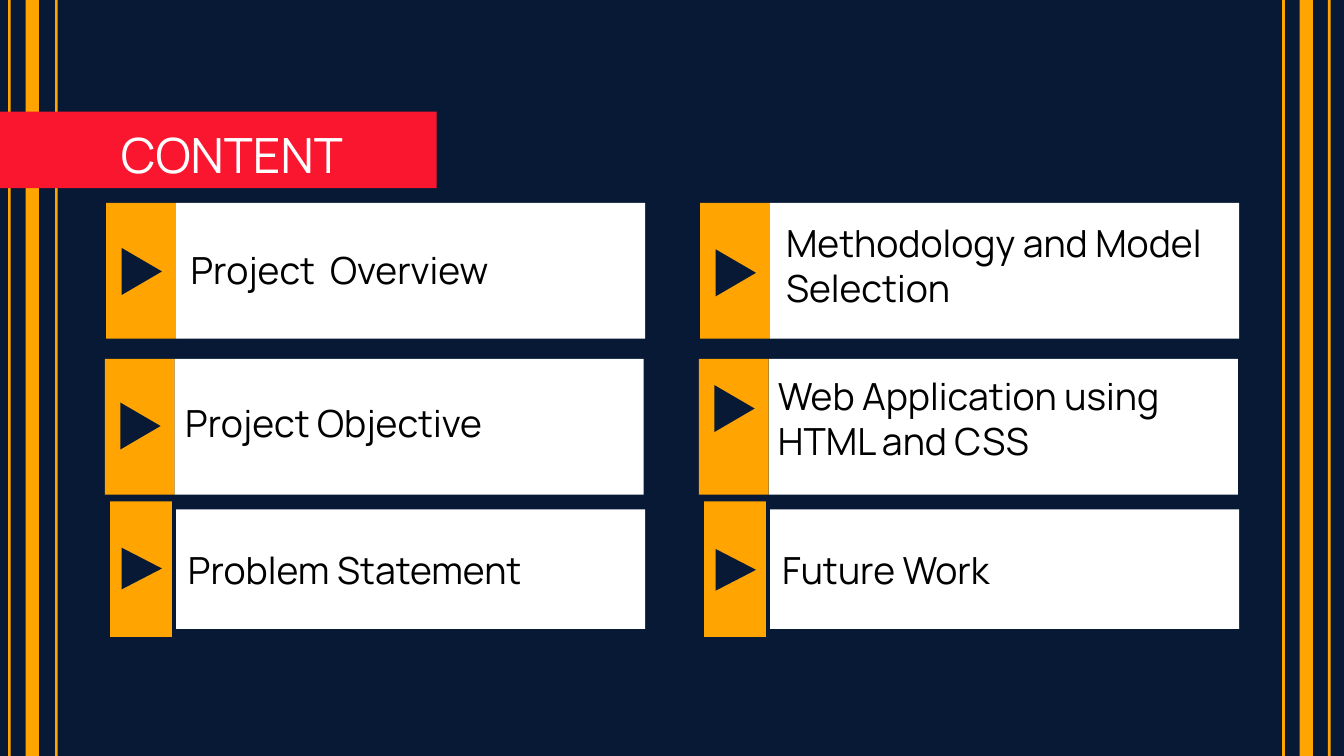
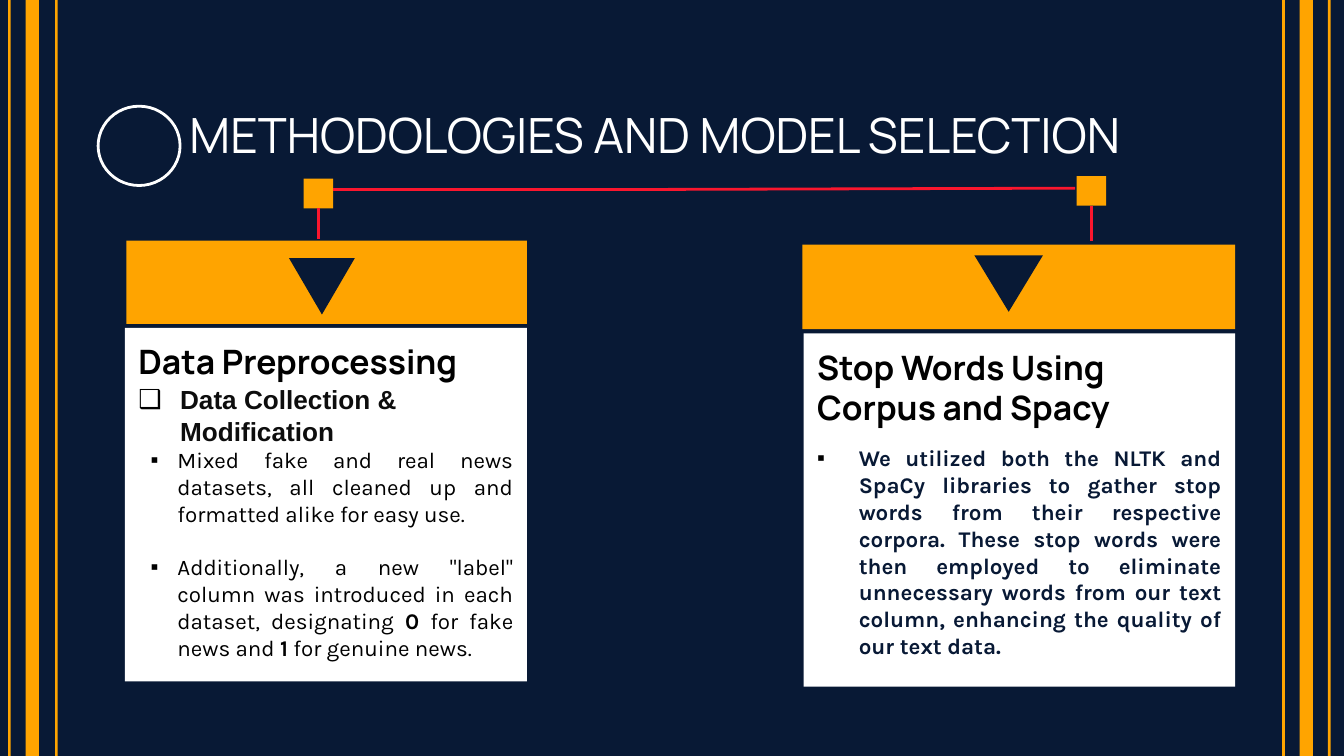
from dataclasses import dataclass

from lxml.etree import SubElement
from pptx import Presentation
from pptx.dml.color import RGBColor
from pptx.enum.shapes import MSO_CONNECTOR, MSO_SHAPE
from pptx.enum.text import MSO_ANCHOR, MSO_AUTO_SIZE, PP_ALIGN
from pptx.oxml.ns import qn
from pptx.util import Emu, Pt

PX = 9144
WIDTH = 1000
SLIDE_WIDTH = Emu(WIDTH * PX)
SLIDE_HEIGHT = Emu(SLIDE_WIDTH * 9 // 16)
COLORS = {
    "navy": "081935",
    "orange": "FFA400",
    "red": "FA162E",
    "white": "FFFFFF",
    "black": "000000",
    "ink": "0D0D0D",
}
TITLE_FONT, LABEL_FONT, BODY_FONT = "Manrope", "Arial", "Karla"
TITLE_ONLY, TWO_CONTENT = 5, 3
THICK_BANDS, THIN_BANDS = (19, 967), (6, 41, 954, 988)
COLUMN_STEP = 442


@dataclass(frozen=True)
class Box:
    left: int
    top: int
    width: int
    height: int


@dataclass(frozen=True)
class Entry:
    text: str
    box: Box
    arrow_top: int


@dataclass(frozen=True)
class AgendaRow:
    card: Box
    bar: Box
    arrow_left: int
    arrow_width: int
    entries: tuple[Entry, Entry]


@dataclass(frozen=True)
class Line:
    text: str
    size: int
    font: str
    bold: bool = False
    color: str = "black"
    bullet: str = ""
    margin: int = 0
    hanging: int = 0
    space_before: int = 0
    justified: bool = False


@dataclass(frozen=True)
class Panel:
    square: Box
    stem_end: tuple[int, int]
    header: Box
    arrow: Box
    body: Box
    lines: tuple[Line, ...]


AGENDA = (
    AgendaRow(Box(131, 151, 349, 101), Box(79, 151, 52, 101), 88, 35, (
        Entry("Project  Overview", Box(132, 179, 325, 44), 187),
        Entry("Methodology and Model Selection", Box(575, 159, 358, 77), 188),
    )),
    AgendaRow(Box(130, 267, 349, 101), Box(78, 267, 52, 101), 87, 35, (
        Entry("Project Objective", Box(128, 293, 358, 44), 302),
        Entry("Web Application using HTML and CSS", Box(569, 273, 358, 77), 289),
    )),
    AgendaRow(Box(131, 379, 349, 89), Box(82, 373, 46, 101), 90, 31, (
        Entry("Problem Statement", Box(130, 402, 358, 44), 408),
        Entry("Future Work", Box(572, 402, 358, 44), 409),
    )),
)

PANELS = (
    Panel(
        Box(226, 133, 22, 22), (237, 178), Box(94, 179, 298, 62),
        Box(215, 192, 49, 42), Box(93, 244, 299, 263),
        (
            Line("Data Preprocessing", 18, TITLE_FONT, bold=True),
            Line("Data Collection & Modification", 14, LABEL_FONT, bold=True, color="ink",
                 bullet="❑", margin=31, hanging=31, space_before=1),
            Line("Mixed fake and real news datasets, all cleaned up and formatted alike "
                 "for easy use.", 12, BODY_FONT, bullet="▪", margin=29, hanging=20,
                 justified=True),
            Line("Additionally, a new \"label\" column was introduced in each dataset, "
                 "designating |0| for fake news and |1| for genuine news.", 12, BODY_FONT,
                 bullet="▪", margin=29, hanging=20, space_before=14, justified=True),
        ),
    ),
    Panel(
        Box(801, 131, 22, 22), (812, 179), Box(597, 182, 322, 63),
        Box(725, 190, 51, 42), Box(598, 248, 321, 263),
        (
            Line("Stop Words Using Corpus and Spacy", 18, TITLE_FONT, bold=True),
            Line("We utilized both the NLTK and SpaCy libraries to gather stop words from "
                 "their respective corpora. These stop words were then employed to "
                 "eliminate unnecessary words from our text column, enhancing the quality "
                 "of our text data.", 12, BODY_FONT, bold=True, color="navy", bullet="▪",
                 margin=31, hanging=31, space_before=9, justified=True),
        ),
    ),
)


def px(value: int) -> Emu:
    return Emu(value * PX)


def rgb(name: str) -> RGBColor:
    return RGBColor.from_string(COLORS[name])


def paint(shape, color: str) -> None:
    shape.fill.solid()
    shape.fill.fore_color.rgb = rgb(color)


def place(shape, box: Box) -> None:
    shape.left, shape.top = px(box.left), px(box.top)
    shape.width, shape.height = px(box.width), px(box.height)


def style_run(run, font: str, size: int, color: str, bold: bool = False) -> None:
    run.font.name = font
    run.font.size = Pt(size)
    run.font.bold = bold
    run.font.color.rgb = rgb(color)


def add_block(slide, box: Box, color: str, kind=MSO_SHAPE.RECTANGLE, rotation: int = 0):
    shape = slide.shapes.add_shape(
        kind, px(box.left), px(box.top), px(box.width), px(box.height))
    shape.shadow.inherit = False
    shape.line.fill.background()
    shape.rotation = rotation
    paint(shape, color)
    return shape


def add_line(slide, start: tuple[int, int], end: tuple[int, int]):
    connector = slide.shapes.add_connector(
        MSO_CONNECTOR.STRAIGHT, px(start[0]), px(start[1]), px(end[0]), px(end[1]))
    connector.line.color.rgb = rgb("red")
    connector.line.width = Pt(1.5)
    SubElement(connector.element.spPr, qn("a:effectLst"))
    return connector


def prepare_frame(shape) -> None:
    frame = shape.text_frame
    frame.word_wrap = True
    frame.auto_size = MSO_AUTO_SIZE.NONE
    frame.vertical_anchor = MSO_ANCHOR.TOP
    frame.margin_left = frame.margin_right = px(10)
    frame.margin_top = frame.margin_bottom = px(10)


def set_indent(paragraph, margin: int, hanging: int, bullet: str = "") -> None:
    properties = paragraph._p.get_or_add_pPr()
    properties.set("marL", str(px(margin)))
    properties.set("indent", str(px(-hanging)))
    if bullet:
        bullet_color = SubElement(properties, qn("a:buClr"))
        SubElement(bullet_color, qn("a:srgbClr"), val=COLORS["black"])
        SubElement(properties, qn("a:buChar"), char=bullet)
    else:
        SubElement(properties, qn("a:buNone"))


def add_slide(presentation, layout: int, title_text: str, title_box: Box):
    slide = presentation.slides.add_slide(presentation.slide_layouts[layout])
    for bands, width in ((THICK_BANDS, 10), (THIN_BANDS, 2)):
        for left in bands:
            band = add_block(slide, Box(left, 0, width, 0), "orange")
            band.height = SLIDE_HEIGHT
    title = slide.shapes.title
    title.element.getparent().append(title.element)
    place(title, title_box)
    prepare_frame(title)
    title.text_frame.text = title_text
    paragraph = title.text_frame.paragraphs[0]
    set_indent(paragraph, 80, 0)
    paragraph.alignment = PP_ALIGN.LEFT
    style_run(paragraph.runs[0], TITLE_FONT, 26, "white")
    return slide


def add_label(slide, text: str, box: Box) -> None:
    label = slide.shapes.add_textbox(
        px(box.left), px(box.top), px(box.width), px(box.height))
    label.text_frame.word_wrap = True
    label.text_frame.text = text
    style_run(label.text_frame.paragraphs[0].runs[0], TITLE_FONT, 20, "black")


def add_agenda_row(slide, row: AgendaRow) -> None:
    for column, entry in enumerate(row.entries):
        shift = column * COLUMN_STEP
        for box, color in ((row.bar, "orange"), (row.card, "white")):
            add_block(slide, Box(box.left + shift, box.top, box.width, box.height), color)
        arrow = Box(row.arrow_left + shift, entry.arrow_top, row.arrow_width, 30)
        add_block(slide, arrow, "navy", MSO_SHAPE.ISOSCELES_TRIANGLE, 90)
        add_label(slide, entry.text, entry.box)


def fill_list(shape, lines: tuple[Line, ...]) -> None:
    prepare_frame(shape)
    frame = shape.text_frame
    for index, line in enumerate(lines):
        paragraph = frame.add_paragraph() if index else frame.paragraphs[0]
        set_indent(paragraph, line.margin, line.hanging, line.bullet)
        paragraph.alignment = PP_ALIGN.JUSTIFY if line.justified else PP_ALIGN.LEFT
        paragraph.line_spacing = 1.0
        paragraph.space_before = Pt(line.space_before)
        for position, piece in enumerate(line.text.split("|")):
            run = paragraph.add_run()
            run.text = piece
            style_run(run, line.font, line.size, line.color, line.bold or position % 2 == 1)


def add_panel(slide, panel: Panel, body) -> None:
    square = add_block(slide, panel.square, "orange")
    bottom = (panel.stem_end[0], panel.square.top + panel.square.height)
    add_line(slide, bottom, panel.stem_end).begin_connect(square, 2)
    add_block(slide, panel.header, "orange")
    add_block(slide, panel.arrow, "navy", MSO_SHAPE.ISOSCELES_TRIANGLE, 180)
    place(body, panel.body)
    paint(body, "white")
    fill_list(body, panel.lines)


def build_content(presentation) -> None:
    slide = add_slide(presentation, TITLE_ONLY, "CONTENT", Box(0, 83, 325, 57))
    paint(slide.shapes.title, "red")
    for row in AGENDA:
        add_agenda_row(slide, row)


def build_methodologies(presentation) -> None:
    slide = add_slide(presentation, TWO_CONTENT, "METHODOLOGIES AND MODEL SELECTION",
                      Box(51, 68, 850, 67))
    bodies = [shape for shape in slide.placeholders if shape.placeholder_format.idx]
    for panel, body in zip(PANELS, bodies):
        add_panel(slide, panel, body)
    add_line(slide, (248, 141), (508, 141))
    add_line(slide, (479, 141), (800, 140))
    globe = add_block(slide, Box(73, 79, 61, 59), "navy", MSO_SHAPE.OVAL)
    globe.line.color.rgb = rgb("white")
    globe.line.width = Pt(1.5)


def main() -> None:
    presentation = Presentation()
    presentation.slide_width, presentation.slide_height = SLIDE_WIDTH, SLIDE_HEIGHT
    background = presentation.slide_master.background.fill
    background.solid()
    background.fore_color.rgb = rgb("navy")
    build_content(presentation)
    build_methodologies(presentation)
    presentation.save("out.pptx")


if __name__ == "__main__":
    main()
